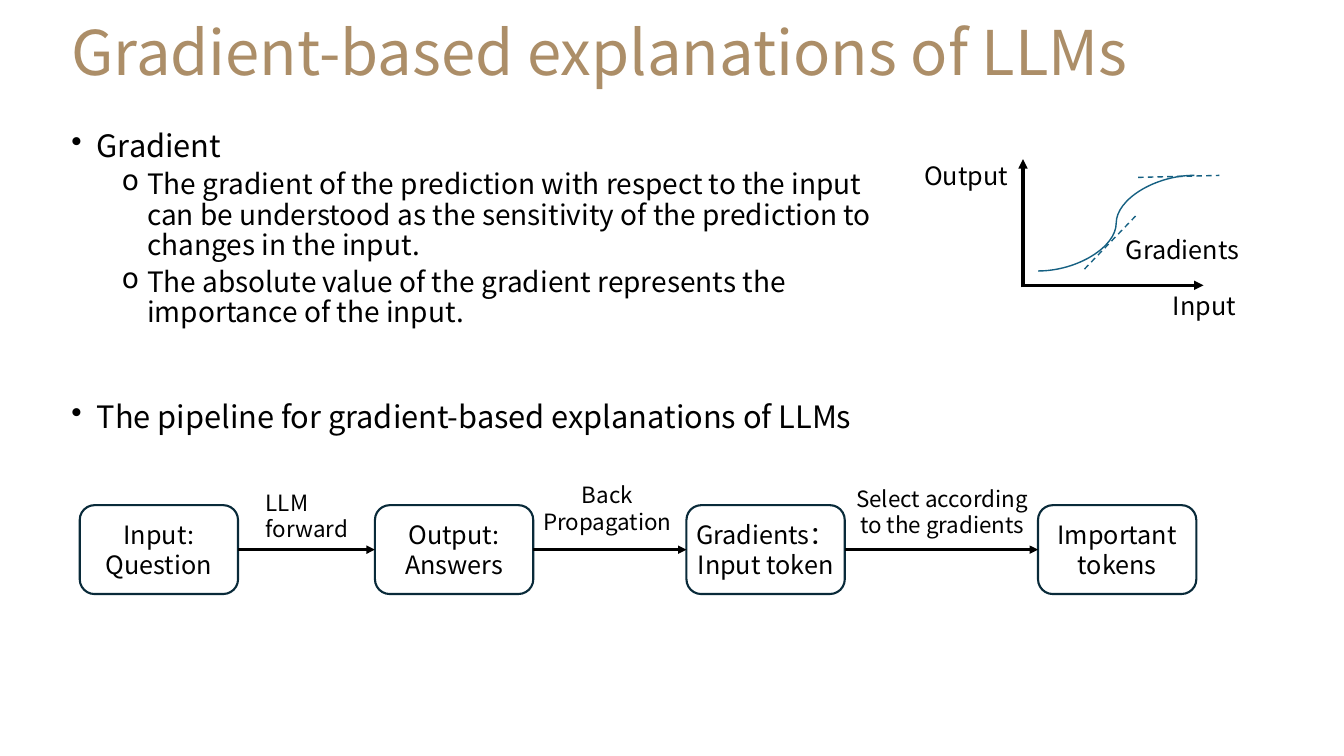
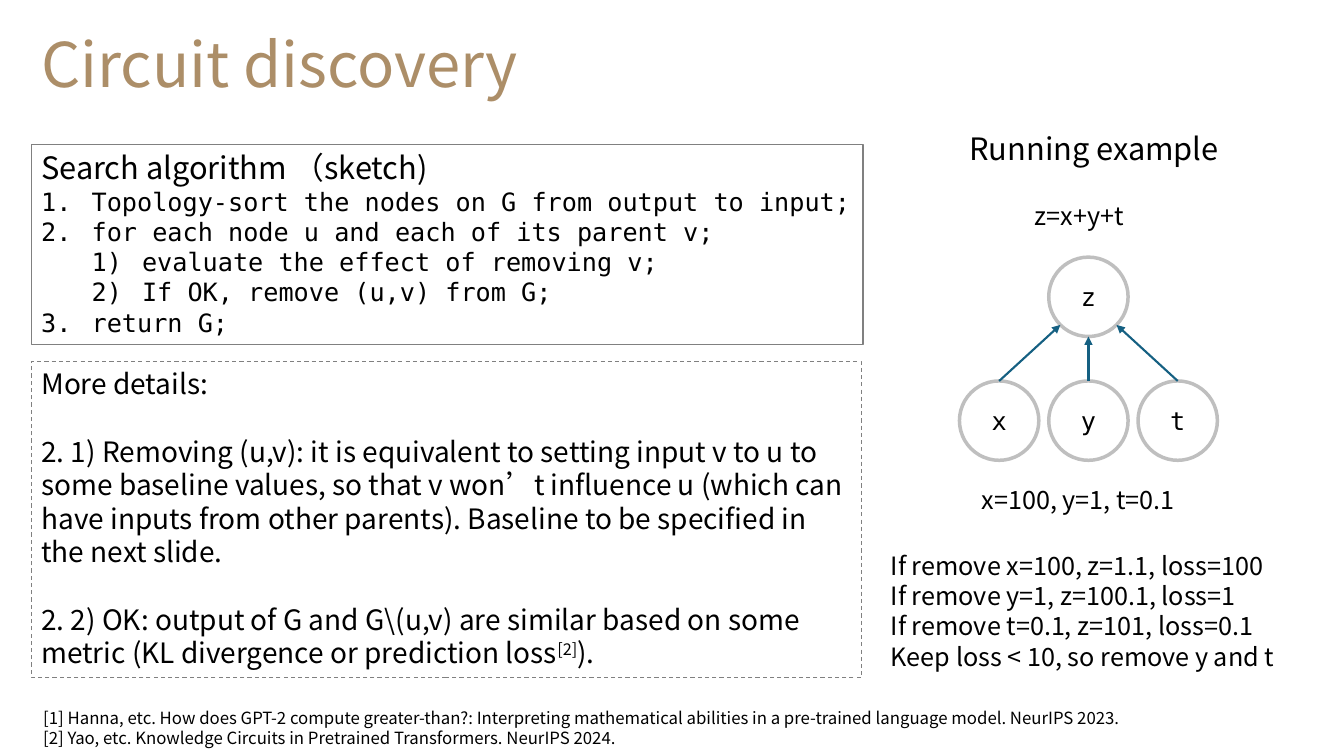
from math import sqrt

from pptx import Presentation
from pptx.dml.color import RGBColor
from pptx.enum.dml import MSO_LINE
from pptx.enum.shapes import MSO_CONNECTOR, MSO_SHAPE
from pptx.enum.text import MSO_ANCHOR, PP_ALIGN
from pptx.oxml.ns import qn
from pptx.util import Cm, Pt
from lxml.etree import SubElement

HUES = {"title": "AC8E68", "text": "000000", "node": "092A39",
        "frame": "808080", "ring": "BFBFBF", "curve": "156082"}
SANS = "Noto Sans CJK SC"
MONO = "DejaVu Sans Mono"

MARKS = {
    "dot": (0, 0.64, 0.64, "buChar", {"char": "•"}),
    "sub": (1, 1.91, 0.64, "buChar", {"char": "o"}),
    "num": (0, 1.27, 1.27, "buAutoNum", {"type": "arabicPeriod"}),
    "step": (1, 2.54, 1.27, "buAutoNum", {"type": "arabicParenR"}),
}

TITLES = [("Gradient-based explanations of LLMs", (1.55, 0.15, 30.63, 2.44)),
          ("Circuit discovery", (0.79, 0.65, 24.26, 2.08))]

POINTS = [
    ((1.55, 3.15, 21.23, 5.31), [
        ("Gradient", "dot", 22, 0),
        ("The gradient of the prediction with respect to the input can be "
         "understood as the sensitivity of the prediction to changes in the input.",
         "sub", 20, 5),
        ("The absolute value of the gradient represents the importance of the input.",
         "sub", 20, 5)]),
    ((1.55, 9.98, 21.23, 1.09), [
        ("The pipeline for gradient-based explanations of LLMs", "dot", 22, 0)]),
]

AXES = [(25.78, 7.19, 30.33, 7.19), (25.78, 7.24, 25.78, 4.01)]
CURVE = (26.16, 6.83, 30.1, 4.42)
SLOPES = [(28.68, 4.47, 30.73, 4.42), (27.33, 6.78, 28.68, 5.38)]
LABELS = [("Input", (29.31, 7.19, 2.26, 1.02)),
          ("Output", (23.04, 3.91, 3, 1.02)),
          ("Gradients", (28.12, 5.79, 3.63, 1.02))]

NODES = [(2.01, ["Input: Question"]),
         (9.45, ["Output:", "Answers"]),
         (17.3, ["Gradients：", "Input token"]),
         (26.16, ["Important tokens"])]
NODE_TOP, NODE_W, NODE_H = 12.73, 3.99, 2.24
STAGES = [(["LLM forward"], (6.45, 12.19, 3, 1.63), PP_ALIGN.LEFT),
          (["Back", "Propagation"], (13.31, 12.01, 3.99, 1.63), PP_ALIGN.CENTER),
          (["Select according to the gradients"], (21.11, 12.09, 5.26, 1.63),
           PP_ALIGN.CENTER)]

SKETCH = [("num", "Topology-sort the nodes on G from output to input;"),
          ("num", "for each node u and each of its parent v;"),
          ("step", "evaluate the effect of removing v;"),
          ("step", "If OK, remove (u,v) from G;"),
          ("num", "return G;")]
DETAILS = [
    [("More details:", 0)],
    [("2. 1) Removing (u,v): it is equivalent to setting input v to u to some "
      "baseline values, so that v won’t influence u (which can have inputs from "
      "other parents). Baseline to be specified in the next slide.", 0)],
    [("2. 2) OK: output of G and G\\(u,v) are similar based on some metric "
      "(KL divergence or prediction loss", 0), ("[2]", 30), (").", 0)],
]
NOTES = [
    (["Running example"], (24.18, 3.15, 7.06, 1.19), 22),
    (["z=x+y+t"], (25.83, 4.93, 3.18, 1.02), 18),
    (["x=100, y=1, t=0.1"], (24.49, 12.09, 5.94, 1.02), 18),
    (["If remove x=100, z=1.1, loss=100",
      "If remove y=1, z=100.1, loss=1",
      "If remove t=0.1, z=101, loss=0.1",
      "Keep loss < 10, so remove y and t"], (22.2, 13.74, 11.28, 3.33), 18),
    (["[1] Hanna, etc. How does GPT-2 compute greater-than?: Interpreting "
      "mathematical abilities in a pre-trained language model. NeurIPS 2023.",
      "[2] Yao, etc. Knowledge Circuits in Pretrained Transformers. NeurIPS 2024."],
     (0.84, 17.7, 31.72, 1.27), 12),
]
ROUND = 2
LEAVES = "xyt"
LEAF_X, LEAF_Y, LEAF_GAP, ROOT_Y = 24.18, 9.6, 2.25, 6.48


def hue(name):
    return RGBColor.from_string(HUES[name])


def para(frame, runs, size, font=SANS, color="text", mark=None, before=0,
         align=PP_ALIGN.LEFT, lead=1.2):
    first = frame.paragraphs[0]
    par = first if not first.runs else frame.add_paragraph()
    if mark:
        level, left, hang, tag, attrs = MARKS[mark]
        par.level = level
        props = par._p.get_or_add_pPr()
        props.set("marL", str(Cm(left)))
        props.set("indent", str(-Cm(hang)))
        SubElement(props, qn("a:" + tag), attrs)
    par.alignment = align
    par.line_spacing = Pt(round(size * lead, 1))
    par.space_before = Pt(before)
    for text, rise in [(runs, 0)] if isinstance(runs, str) else runs:
        run = par.add_run()
        run.text = text
        run.font.size = Pt(size)
        run.font.name = font
        run.font.color.rgb = hue(color)
        props = run._r.get_or_add_rPr()
        SubElement(props, qn("a:ea"), {"typeface": font})
        if rise:
            props.set("baseline", str(rise * 1000))


def box(slide, rect, anchor=MSO_ANCHOR.TOP):
    frame = slide.shapes.add_textbox(*map(Cm, rect)).text_frame
    frame.word_wrap = True
    frame.vertical_anchor = anchor
    return frame


def note(slide, lines, rect, size, align=PP_ALIGN.LEFT):
    frame = box(slide, rect)
    for line in lines:
        para(frame, line, size, align=align)


def panel(slide, kind, rect, color, width, anchor=MSO_ANCHOR.MIDDLE):
    shape = slide.shapes.add_shape(kind, *map(Cm, rect))
    shape.shadow.inherit = False
    shape.fill.background()
    shape.line.color.rgb = hue(color)
    shape.line.width = Pt(width)
    shape.text_frame.word_wrap = True
    shape.text_frame.vertical_anchor = anchor
    return shape


def link(slide, ends, color, width, head=False, dash=False,
         kind=MSO_CONNECTOR.STRAIGHT):
    line = slide.shapes.add_connector(kind, *map(Cm, ends))
    line.line.color.rgb = hue(color)
    line.line.width = Pt(width)
    if dash:
        line.line.dash_style = MSO_LINE.DASH
    if head:
        SubElement(line.line._get_or_add_ln(), qn("a:tailEnd"), {"type": "triangle"})
    SubElement(line._element.spPr, qn("a:effectLst"))
    return line


def start(deck, title, rect):
    slide = deck.slides.add_slide(deck.slide_layouts[6])
    para(box(slide, rect, MSO_ANCHOR.MIDDLE), title, 44, color="title", lead=1.08)
    return slide


def draw_plot(slide):
    for ends in AXES:
        link(slide, ends, "text", 2.25, head=True)
    link(slide, CURVE, "curve", 1, kind=MSO_CONNECTOR.CURVE)
    for ends in SLOPES:
        link(slide, ends, "curve", 1, dash=True)
    for text, rect in LABELS:
        note(slide, [text], rect, 18)


def draw_flow(slide):
    nodes = []
    for left, lines in NODES:
        node = panel(slide, MSO_SHAPE.ROUNDED_RECTANGLE,
                     (left, NODE_TOP, NODE_W, NODE_H), "node", 1.5)
        frame = node.text_frame
        frame.margin_left = frame.margin_right = Cm(0.1)
        for line in lines:
            para(frame, line, 18, align=PP_ALIGN.CENTER)
        nodes.append(node)
    for one, two in zip(nodes, nodes[1:]):
        line = link(slide, (0, 0, 1, 1), "text", 2, head=True)
        line.begin_connect(one, 3)
        line.end_connect(two, 1)
    for lines, rect, align in STAGES:
        note(slide, lines, rect, 16, align)


def draw_tree(slide):
    half = ROUND / 2
    mid = LEAF_X + LEAF_GAP + half
    rings = [("z", mid - half, ROOT_Y)]
    rings += [(name, LEAF_X + i * LEAF_GAP, LEAF_Y) for i, name in enumerate(LEAVES)]
    for name, left, top in rings:
        ring = panel(slide, MSO_SHAPE.OVAL, (left, top, ROUND, ROUND), "ring", 2.5)
        para(ring.text_frame, name, 18, MONO, align=PP_ALIGN.CENTER)
    slant = half * sqrt(0.5)
    for side, (_, left, top) in zip((-1, 0, 1), rings[1:]):
        drop = slant if side else half
        link(slide, (left + half, top, mid + side * slant, ROOT_Y + half + drop),
             "curve", 1.5, head=True)


def main():
    deck = Presentation()
    deck.slide_width, deck.slide_height = Cm(33.87), Cm(19.05)
    first, second = [start(deck, *title) for title in TITLES]

    for rect, items in POINTS:
        frame = box(first, rect)
        for text, mark, size, before in items:
            para(frame, text, size, mark=mark, before=before, lead=1.08)
    draw_plot(first)
    draw_flow(first)

    code = panel(second, MSO_SHAPE.RECTANGLE, (0.79, 3.63, 20.96, 5.05),
                 "frame", 0.75, MSO_ANCHOR.TOP).text_frame
    para(code, "Search algorithm （sketch)", 22)
    for mark, text in SKETCH:
        para(code, text, 18, MONO, mark=mark)
    more = panel(second, MSO_SHAPE.RECTANGLE, (0.79, 9.12, 20.93, 7.95),
                 "frame", 0.75, MSO_ANCHOR.TOP)
    more.line.dash_style = MSO_LINE.DASH
    for i, runs in enumerate(DETAILS):
        para(more.text_frame, runs, 20, before=24 if i else 0)
    draw_tree(second)
    for lines, rect, size in NOTES:
        note(second, lines, rect, size)

    deck.save("out.pptx")


if __name__ == "__main__":
    main()
